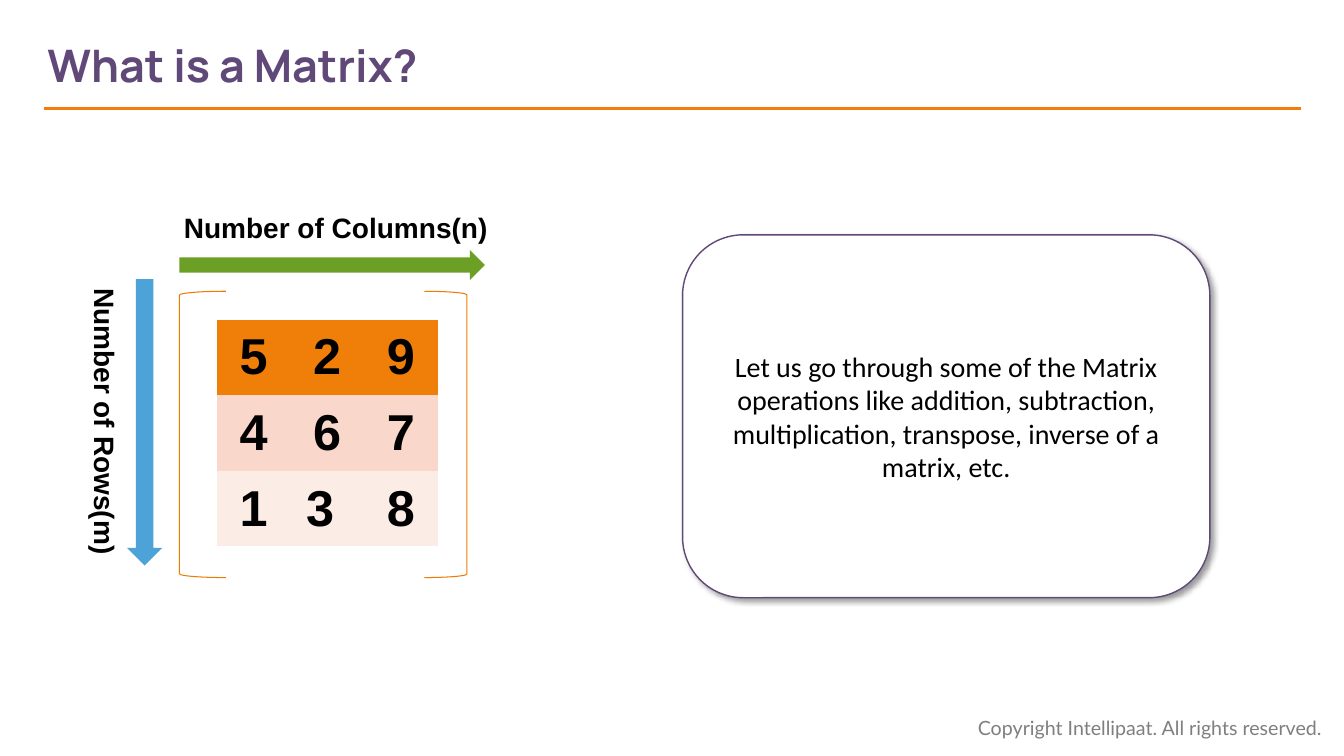
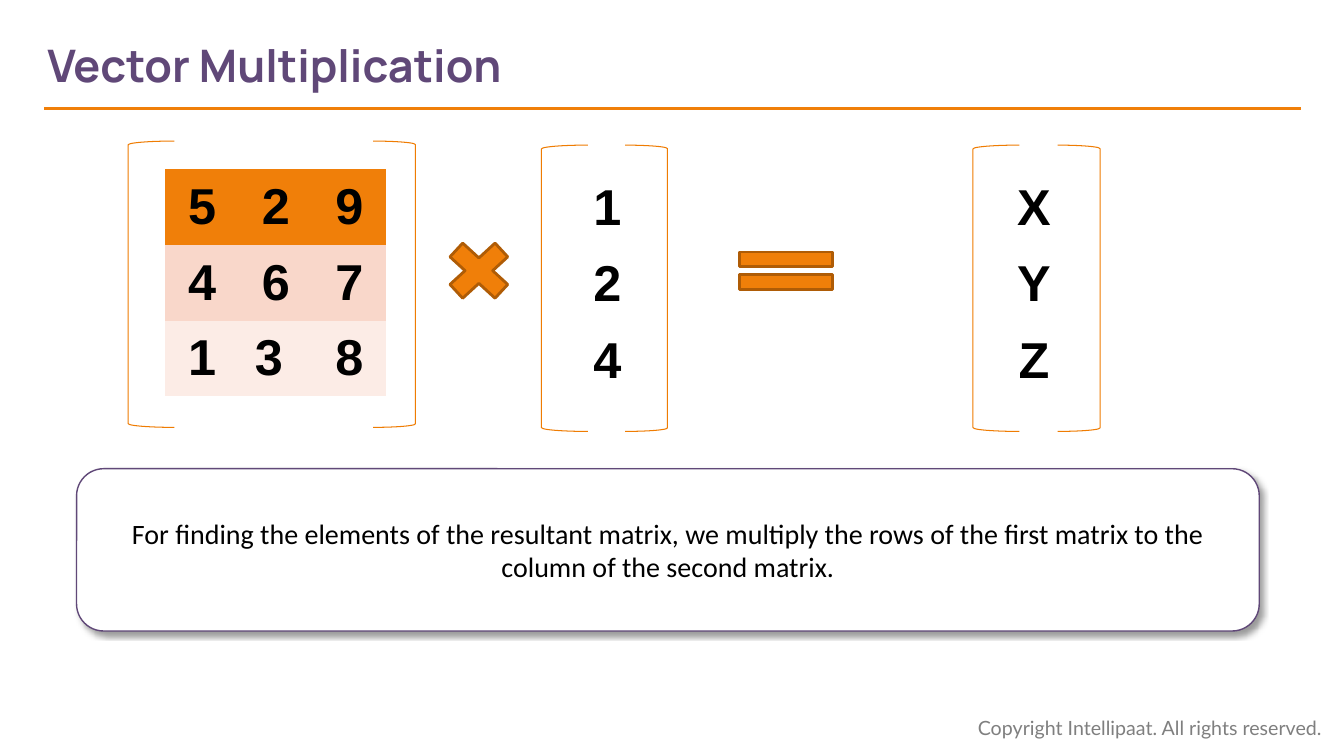
"""Build two slides on matrices and vector multiplication."""
from lxml import etree
from pptx import Presentation, util as u
from pptx.dml.color import RGBColor
from pptx.enum import shapes, text
from pptx.oxml import parse_xml
from pptx.oxml.ns import nsdecls, qn

rgb = RGBColor.from_string
MSO = shapes.MSO_SHAPE
AL = text.PP_ALIGN
ORANGE, PURPLE, BLACK = "F07F09", "604878", "000000"
BANDS = [ORANGE, "F9D7CA", "FCECE6"]
TITLE = {"name": "Manrope", "size": u.Pt(32), "bold": True}
FOOTER = {"name": "Lato", "size": u.Pt(14)}
BODY = {"name": "Calibri", "size": u.Pt(20)}
LABEL = {"name": "Arial", "size": u.Pt(20), "bold": True}
NUMBER = {"name": "Arial", "size": u.Pt(36), "bold": True}
NO_STYLE = "{2D5ABB26-0587-4C30-8999-92F81FD0307C}"
SHADOW = (f'<a:effectLst {nsdecls("a")}><a:outerShdw blurRad="{u.Pt(4)}" dist="{u.Pt(3)}" '
          'dir="2700000" algn="tl" rotWithShape="0"><a:srgbClr val="000000">'
          '<a:alpha val="40000"/></a:srgbClr></a:outerShdw></a:effectLst>')


def write(tf, words, fmt, color=BLACK, align=AL.CENTER):
    p = tf.paragraphs[0]
    p.alignment = align
    r = p.add_run()
    r.text = words
    for key, value in fmt.items():
        setattr(r.font, key, value)
    r.font.color.rgb = rgb(color)


def draw(s, kind, box, fill=None, line=None, width=1, adj=()):
    sp = s.shapes.add_shape(kind, *map(u.Inches, box))
    sp.shadow.inherit = False
    for i, value in enumerate(adj):
        sp.adjustments[i] = value
    for part, color in ((sp.fill, fill), (sp.line.fill, line)):
        if color:
            part.solid()
            part.fore_color.rgb = rgb(color)
        else:
            part.background()
    if line:
        sp.line.width = u.Pt(width)
    return sp


GRID = [["5", "2", "9"], ["4", "6", "7"], ["1", "3 ", "8"]]
PAGES = [
    {"title": "What is a Matrix?",
     "matrices": [(1.78, 2.89, 2.85, 2.15, 3.17, 0.73, 0.75, GRID, BANDS)],
     "signs": [(MSO.RIGHT_ARROW, (1.78, 2.48, 3.03, 0.3), "6B9F25", None, (0.5, 0.5)),
               (MSO.DOWN_ARROW, (1.26, 2.77, 0.35, 2.84), "4DA3D8", None, (0.5, 0.5))],
     "labels": [("Number of Rows(m)", (-0.43, 3.96, 2.94, 0.44), 90),
                ("Number of Columns(n)", (1.72, 2.04, 3.22, 0.44), 0)],
     "card": (6.77, 2.33, 5.23, 3.6),
     "note": "Let us go through some of the Matrix operations like addition, "
             "subtraction, multiplication, transpose, inverse of a matrix, etc."},
    {"title": "Vector Multiplication",
     "matrices": [(1.27, 1.4, 2.85, 1.64, 1.68, 0.73, 0.75, GRID, BANDS),
                  (5.37, 1.44, 1.25, 5.75, 1.68, 0.55, 0.76, ["1", "2", "4"], [None] * 3),
                  (9.65, 1.44, 1.26, 9.98, 1.68, 0.55, 0.76, ["X", "Y", "Z"], [None] * 3)],
     "signs": [(MSO.MATH_MULTIPLY, (4.32, 2.29, 0.86, 0.79), ORANGE, "AF5C06", (0.235,)),
               (MSO.MATH_EQUAL, (7.17, 2.37, 1.25, 0.63), ORANGE, "AF5C06", (0.235, 0.118))],
     "labels": [],
     "card": (0.76, 4.65, 11.73, 1.61),
     "note": "For finding the elements of the resultant matrix, we multiply the rows "
             "of the first matrix to the column of the second matrix."},
]

prs = Presentation()
prs.slide_width, prs.slide_height = u.Inches(13.33), u.Inches(7.5)

for page in PAGES:
    s = prs.slides.add_slide(prs.slide_layouts[5])
    title = s.shapes.title
    title.left, title.top, title.width, title.height = map(u.Inches, (0.47, 0.22, 9.47, 0.84))
    tf = title.text_frame
    tf.margin_left, tf.vertical_anchor = 0, text.MSO_ANCHOR.MIDDLE
    write(tf, page["title"], TITLE, PURPLE, AL.LEFT)

    rule = s.shapes.add_connector(shapes.MSO_CONNECTOR.STRAIGHT,
                                  *map(u.Inches, (0.44, 1.08, 12.9, 1.08)))
    rule.line.color.rgb = rgb(ORANGE)
    rule.line.width = u.Pt(2.25)
    etree.SubElement(rule._element.spPr, qn("a:effectLst"))

    footer = s.shapes.add_textbox(*map(u.Inches, (9.6, 7.05, 3.67, 0.34)))
    write(footer.text_frame, "Copyright Intellipaat. All rights reserved.",
          FOOTER, "7F7F7F", AL.LEFT)

    card = draw(s, MSO.ROUNDED_RECTANGLE, page["card"], "FFFFFF", PURPLE, 1, (0.167,))
    card._element.spPr.remove(card._element.spPr.find(qn("a:effectLst")))
    card._element.spPr.append(parse_xml(SHADOW))
    card.text_frame.word_wrap = True
    card.text_frame.vertical_anchor = text.MSO_ANCHOR.MIDDLE
    write(card.text_frame, page["note"], BODY)

    for x, y, span, left, top, col, row, values, fills in page["matrices"]:
        for kind, at, wide in ((MSO.LEFT_BRACKET, x, 0.46),
                               (MSO.RIGHT_BRACKET, x + span - 0.42, 0.42)):
            draw(s, kind, (at, y, wide, 2.84), None, "EF7C02", 0.75, (0.083,))
        rows, cols = len(values), len(values[0])
        tbl = s.shapes.add_table(rows, cols, *map(u.Inches, (left, top, cols * col,
                                                           rows * row))).table
        tbl.first_row = tbl.horz_banding = False
        tbl._tbl.tblPr.find(qn("a:tableStyleId")).text = NO_STYLE
        for i, (line, fill) in enumerate(zip(values, fills)):
            for j, value in enumerate(line):
                cell = tbl.cell(i, j)
                cell.vertical_anchor = text.MSO_ANCHOR.MIDDLE
                if fill:
                    cell.fill.solid()
                    cell.fill.fore_color.rgb = rgb(fill)
                else:
                    cell.fill.background()
                write(cell.text_frame, value, NUMBER)

    for kind, box, fill, line, adj in page["signs"]:
        draw(s, kind, box, fill, line, 2, adj)

    for words, box, turn in page["labels"]:
        label = s.shapes.add_textbox(*map(u.Inches, box))
        label.rotation = turn
        label.text_frame.word_wrap = True
        write(label.text_frame, words, LABEL)

prs.save("out.pptx")
